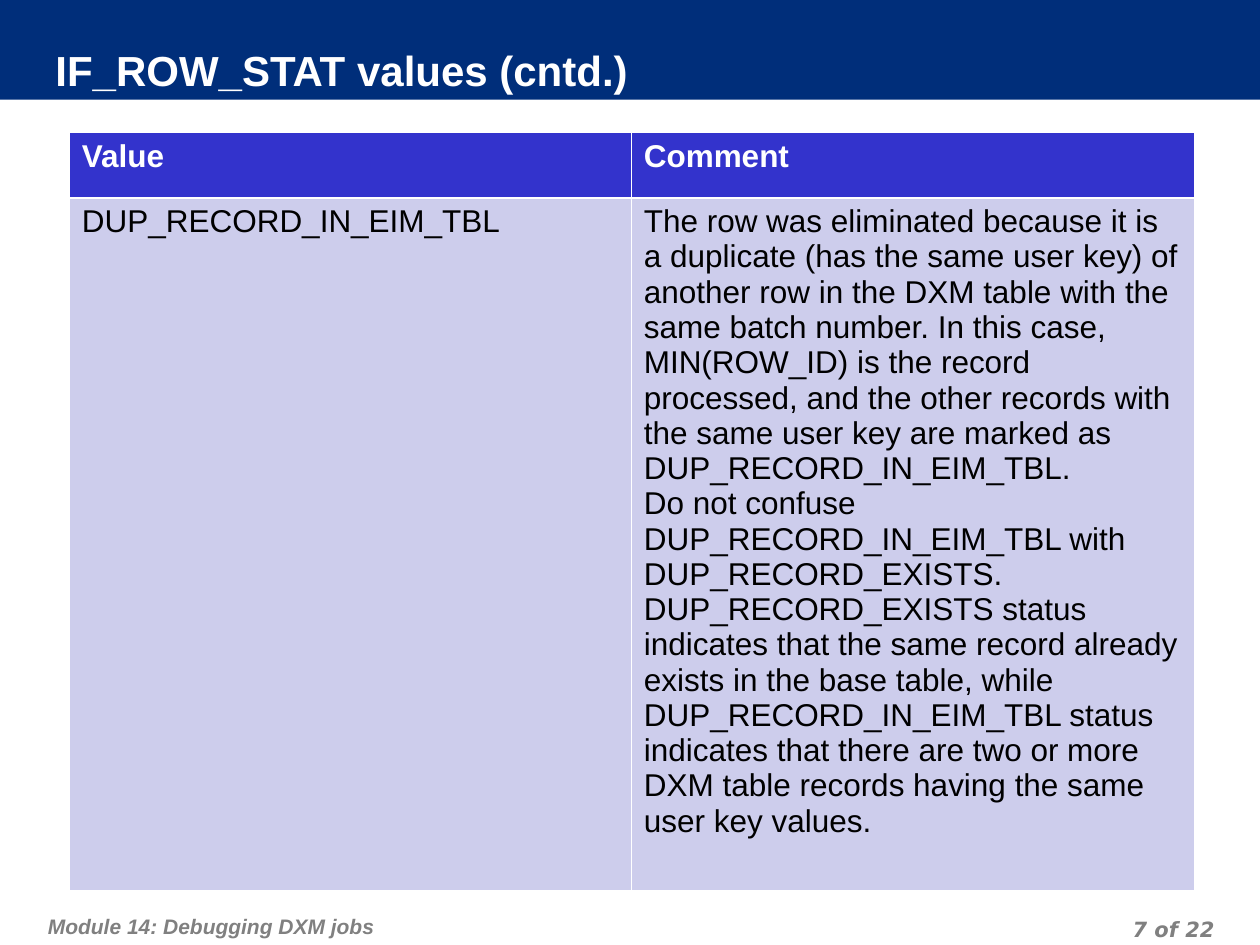
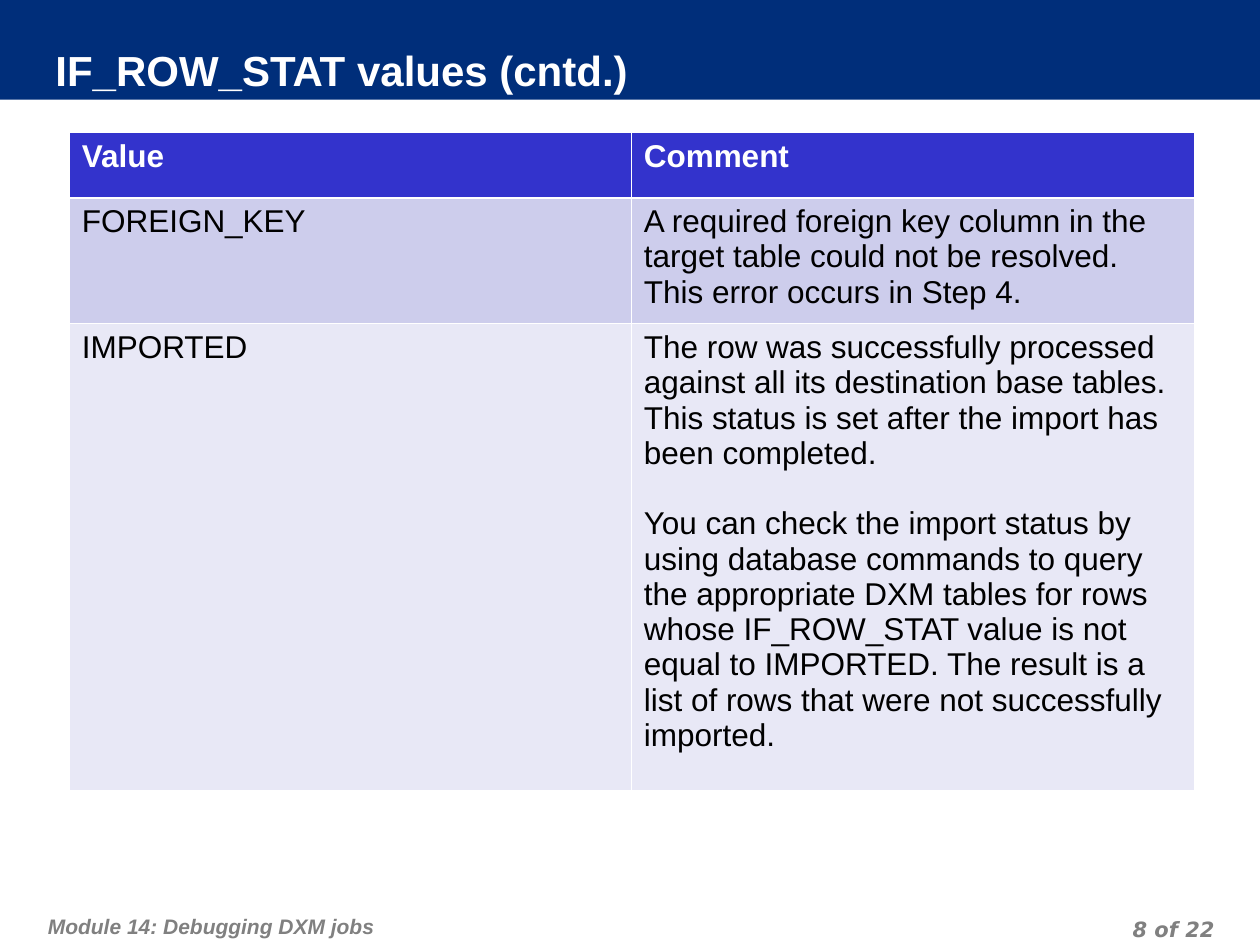
from lxml.etree import SubElement
from pptx import Presentation
from pptx.dml.color import RGBColor
from pptx.enum.shapes import MSO_SHAPE
from pptx.enum.text import MSO_ANCHOR, PP_ALIGN
from pptx.oxml.ns import qn
from pptx.util import Inches, Pt

RECT = MSO_SHAPE.RECTANGLE
MIDDLE = MSO_ANCHOR.MIDDLE
TOP = MSO_ANCHOR.TOP
LEFT = PP_ALIGN.LEFT
RIGHT = PP_ALIGN.RIGHT

NAVY, BLUE, WHITE = "002E7A", "3333CC", "FFFFFF"
GREY, BLACK = "808080", "000000"
BANDS = ["CDCDEC", "E8E8F6"]
THIN, THICK = 0.45, 1.47
WIDTHS = [4.46, 4.47]
HEAD = ("Value", "Comment")
TITLE = "IF_ROW_STAT values (cntd.)"
MODULE = "Module 14: Debugging DXM jobs"
FIRST, TOTAL = 7, 22

PAGES = [
    [(5.5, "DUP_RECORD_IN_EIM_TBL", [
        "The row was eliminated because it is a duplicate (has the same user key) "
        "of another row in the DXM table with the same batch number. In this case, "
        "MIN(ROW_ID) is the record processed, and the other records with the same "
        "user key are marked as DUP_RECORD_IN_EIM_TBL.",
        "Do not confuse DUP_RECORD_IN_EIM_TBL with DUP_RECORD_EXISTS. "
        "DUP_RECORD_EXISTS status indicates that the same record already exists in "
        "the base table, while DUP_RECORD_IN_EIM_TBL status indicates that there "
        "are two or more DXM table records having the same user key values."], 0)],
    [(1, "FOREIGN_KEY", [
        "A required foreign key column in the target table could not be resolved. "
        "This error occurs in Step 4."], 0),
     (3.7, "IMPORTED", [
         "The row was successfully processed against all its destination base "
         "tables. This status is set after the import has been completed.",
         "You can check the import status by using database commands to query the "
         "appropriate DXM tables for rows whose IF_ROW_STAT value is not equal to "
         "IMPORTED. The result is a list of rows that were not successfully "
         "imported."], 20)],
]


def color(code):
    return RGBColor.from_string(code)


def write(frame, lines, size=18, font="Arial", ink=BLACK, bold=False,
          italic=False, align=LEFT, pitch=None, gap=0):
    for i, line in enumerate(lines):
        para = frame.add_paragraph() if i else frame.paragraphs[0]
        para.alignment = align
        para.space_before = Pt(gap if i else 0)
        if pitch:
            para.line_spacing = Pt(pitch)
        run = para.add_run()
        run.text = line
        face = run.font
        face.name, face.size = font, Pt(size)
        face.bold, face.italic = bold, italic
        face.color.rgb = color(ink)


def inset(frame, top, bottom):
    frame.margin_left = frame.margin_right = Inches(0.05)
    frame.margin_top, frame.margin_bottom = Inches(top), Inches(bottom)
    frame.word_wrap = True


def edge(cell, top, bottom):
    props = cell._tc.get_or_add_tcPr()
    for side, width in zip("LRTB", (THIN, THIN, top, bottom)):
        line = SubElement(props, qn("a:ln" + side), w=str(Pt(width)))
        fill = SubElement(line, qn("a:solidFill"))
        SubElement(fill, qn("a:srgbClr"), val=WHITE)


class Deck:
    """Hold the shared style and the current slide."""

    def __init__(self):
        self.prs = Presentation()
        self.prs.slide_width, self.prs.slide_height = Inches(10), Inches(7.5)

    def page(self, title, number):
        self.slide = self.prs.slides.add_slide(self.prs.slide_layouts[5])
        self.title(title, self.band())
        self.foot(MODULE, 0.33, 7.1, 6.18, 0.4, 0.1, 0.05)
        self.foot(f"{number} of {TOTAL}", 7.36, 7.22, 2.33, 0.25, 0, 0,
                  font="DejaVu Sans", align=RIGHT)

    def band(self):
        band = self.slide.shapes.add_shape(RECT, 0, 0, Inches(10), Inches(0.79))
        band.shadow.inherit = False
        band.fill.solid()
        band.fill.fore_color.rgb = color(NAVY)
        band.line.fill.background()
        return band

    def title(self, text, band):
        title = self.slide.shapes.title
        band.element.addnext(title.element)
        title.left, title.top = Inches(0.39), Inches(0.38)
        title.width, title.height = Inches(9.17), Inches(0.4)
        title.fill.solid()
        title.fill.fore_color.rgb = color(NAVY)
        frame = title.text_frame
        inset(frame, 0, 0.05)
        frame.vertical_anchor = MIDDLE
        write(frame, [text], size=24, ink=WHITE, bold=True)

    def foot(self, text, x, y, w, h, top, bottom, **style):
        box = self.slide.shapes.add_textbox(Inches(x), Inches(y), Inches(w), Inches(h))
        inset(box.text_frame, top, bottom)
        write(box.text_frame, [text], size=12, ink=GREY, bold=True, italic=True,
              pitch=18, **style)

    def table(self, rows):
        sizes = [0.52] + [row[0] for row in rows]
        table = self.slide.shapes.add_table(
            len(sizes), len(WIDTHS), Inches(0.55), Inches(1.05),
            Inches(sum(WIDTHS)), Inches(sum(sizes))).table
        table.horz_banding = False
        for col, width in zip(table.columns, WIDTHS):
            col.width = Inches(width)
        for row, size in zip(table.rows, sizes):
            row.height = Inches(size)
        for col, text in enumerate(HEAD):
            self.cell(table.cell(0, col), [text], BLUE, THIN, THICK,
                      ink=WHITE, bold=True)
        for i, (_, value, notes, gap) in enumerate(rows):
            for col, lines in enumerate(([value], notes)):
                self.cell(table.cell(i + 1, col), lines, BANDS[i % 2],
                          THIN if i else THICK, THIN, gap=gap)

    def cell(self, cell, lines, fill, top, bottom, **style):
        edge(cell, top, bottom)
        cell.fill.solid()
        cell.fill.fore_color.rgb = color(fill)
        cell.vertical_anchor = TOP
        write(cell.text_frame, lines, **style)


def main():
    deck = Deck()
    for number, rows in enumerate(PAGES, FIRST):
        deck.page(TITLE, number)
        deck.table(rows)
    deck.prs.save("out.pptx")


if __name__ == "__main__":
    main()
